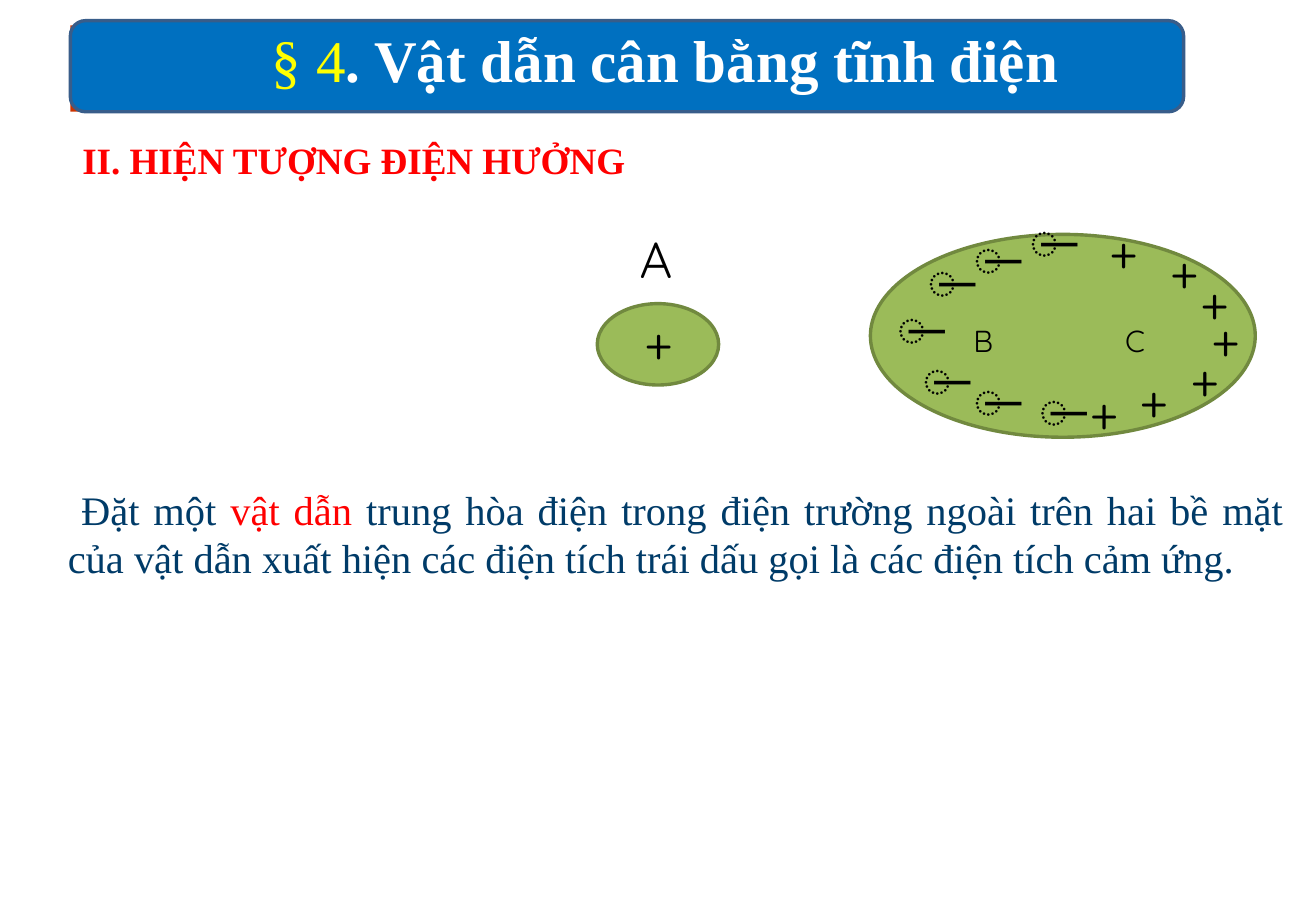
from pptx import Presentation
from pptx.dml.color import RGBColor
from pptx.enum.shapes import MSO_SHAPE
from pptx.enum.text import MSO_ANCHOR, MSO_AUTO_SIZE, PP_ALIGN
from pptx.util import Pt

RECTANGLE = MSO_SHAPE.RECTANGLE
ROUNDED = MSO_SHAPE.ROUNDED_RECTANGLE
OVAL = MSO_SHAPE.OVAL
LEFT, JUSTIFY = PP_ALIGN.LEFT, PP_ALIGN.JUSTIFY

PX = 9144  # 100 px to the inch
SLIDE_SIZE = (1084, 750)
SERIF, ROUND_FONT = "Times New Roman", "Quicksand"
BLACK, WHITE, RED, YELLOW, NAVY = "000000", "FFFFFF", "FF0000", "FFFF00", "003B68"
GREEN, DARK_GREEN = "9BBB59", "71893F"

# Text runs: (text, colour, bold)
TITLE = [("§ 4", YELLOW, False), (". Vật dẫn cân bằng tĩnh điện", WHITE, True)]
HEADING = [("II. HIỆN TƯỢNG ĐIỆN HƯỞNG", RED, True)]
BODY = [
    ("Đặt một ", NAVY, False),
    ("vật dẫn ", RED, False),
    ("trung hòa điện trong điện trường ngoài trên hai bề mặt của vật dẫn "
     "xuất hiện các điện tích trái dấu gọi là các điện tích cảm ứng.", NAVY, False),
]
TITLE_BOX = (214, 14, 669, 69)
HEADING_BOX = (58, 108, 748, 47)
BODY_BOX = (46, 394, 1021, 90)
BODY_INDENT = 11

# (preset, box, fill, line)
SHAPES = [
    (RECTANGLE, (58, 21, 908, 71), "CC3300", None),
    (ROUNDED, (58, 17, 917, 75), "0070C0", "385D8A"),
    (OVAL, (492, 250, 100, 67), GREEN, DARK_GREEN),
    (OVAL, (717, 193, 317, 167), GREEN, DARK_GREEN),
]
# (text, size, box)
LABELS = [
    ("+", 30, (521, 250, 46, 60)),
    ("A", 30, (517, 183, 46, 60)),
    ("B", 18, (792, 260, 50, 40)),
    ("C", 18, (917, 260, 58, 40)),
]
# (sign, box width, left and top of each charge)
CHARGES = [
    ("̶", 29, [(838, 167), (792, 181), (729, 239), (754, 200),
               (846, 306), (792, 298), (750, 281)]),
    ("+", 46, [(988, 248), (971, 281), (929, 298), (888, 308),
               (979, 217), (954, 192), (904, 175)]),
]
CHARGE_SIZE, CHARGE_HEIGHT = 30, 60


def to_emu(box):
    return [length * PX for length in box]


def color(hex_code):
    return RGBColor.from_string(hex_code)


def add_shape(slide, preset, box, fill, line):
    shape = slide.shapes.add_shape(preset, *to_emu(box))
    shape.shadow.inherit = False
    shape.fill.solid()
    shape.fill.fore_color.rgb = color(fill)
    if line:
        shape.line.color.rgb = color(line)
        shape.line.width = Pt(2)
    else:
        shape.line.fill.background()


def write_text(shape, runs, size, font=SERIF, align=LEFT, wrap=True, indent=0):
    frame = shape.text_frame
    frame.word_wrap = wrap
    frame.auto_size = MSO_AUTO_SIZE.SHAPE_TO_FIT_TEXT
    frame.vertical_anchor = MSO_ANCHOR.TOP
    paragraph = frame.paragraphs[0]
    paragraph.alignment = align
    if indent:
        paragraph._p.get_or_add_pPr().set("indent", str(indent * PX))
    for text, run_color, bold in runs:
        run = paragraph.add_run()
        run.text = text
        run.font.name = font
        run.font.size = Pt(size)
        run.font.bold = bold
        run.font.color.rgb = color(run_color)


def add_text(slide, box, runs, size, **text_format):
    write_text(slide.shapes.add_textbox(*to_emu(box)), runs, size, **text_format)


def add_label(slide, text, size, box):
    add_text(slide, box, [(text, BLACK, False)], size, font=ROUND_FONT)


def place_title(slide):
    """Fill the title placeholder and bring it in front of the blue bar."""
    title = slide.shapes.title
    title.left, title.top, title.width, title.height = to_emu(TITLE_BOX)
    write_text(title, TITLE, 35, wrap=False)
    title.element.getparent().append(title.element)


def main():
    presentation = Presentation()
    presentation.slide_width, presentation.slide_height = to_emu(SLIDE_SIZE)
    slide = presentation.slides.add_slide(presentation.slide_layouts[5])
    for shape in SHAPES:
        add_shape(slide, *shape)
    for label in LABELS:
        add_label(slide, *label)
    for sign, width, positions in CHARGES:
        for left, top in positions:
            add_label(slide, sign, CHARGE_SIZE, (left, top, width, CHARGE_HEIGHT))
    add_text(slide, BODY_BOX, BODY, 24, align=JUSTIFY, indent=BODY_INDENT)
    add_text(slide, HEADING_BOX, HEADING, 22)
    place_title(slide)
    presentation.save("out.pptx")


if __name__ == "__main__":
    main()
